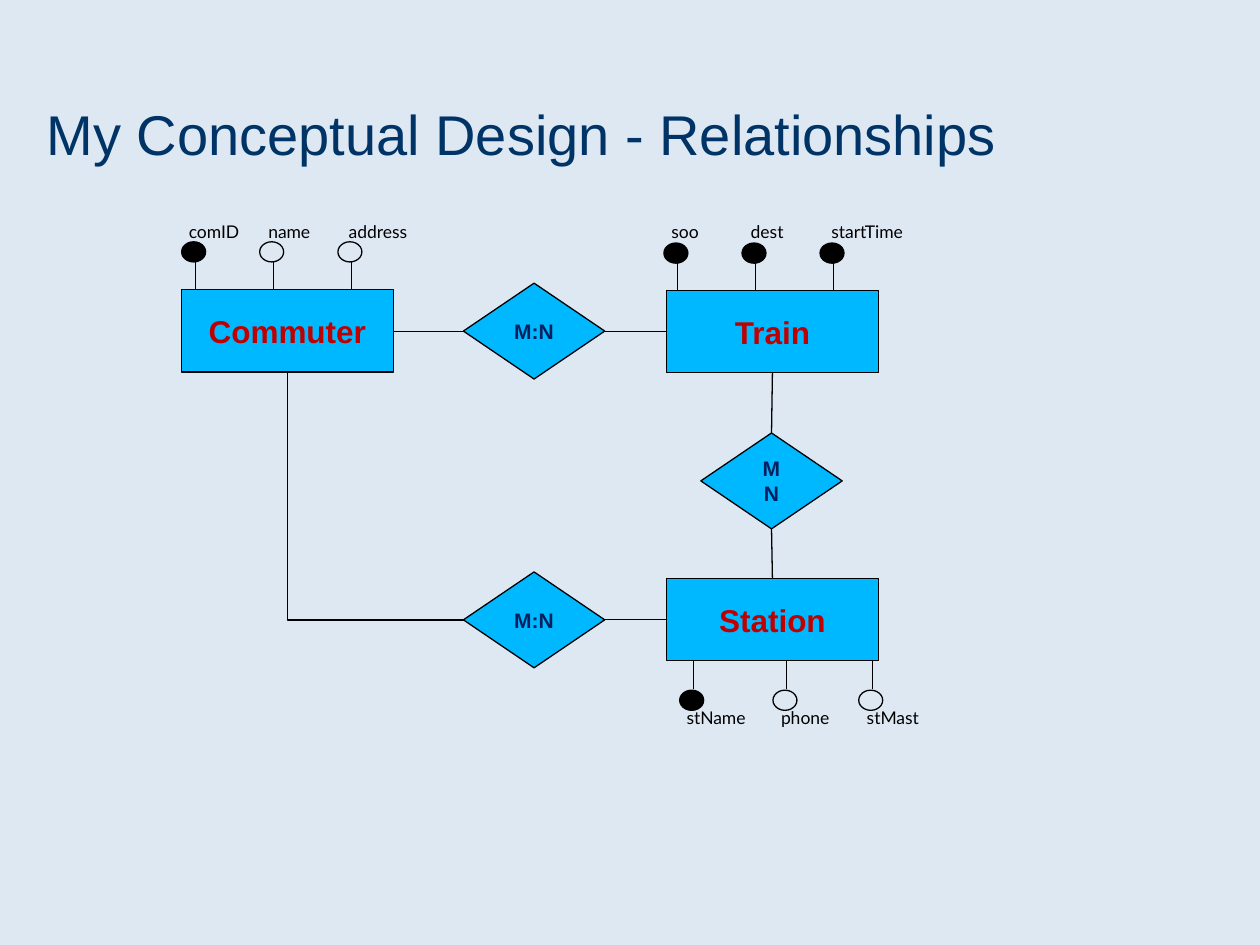
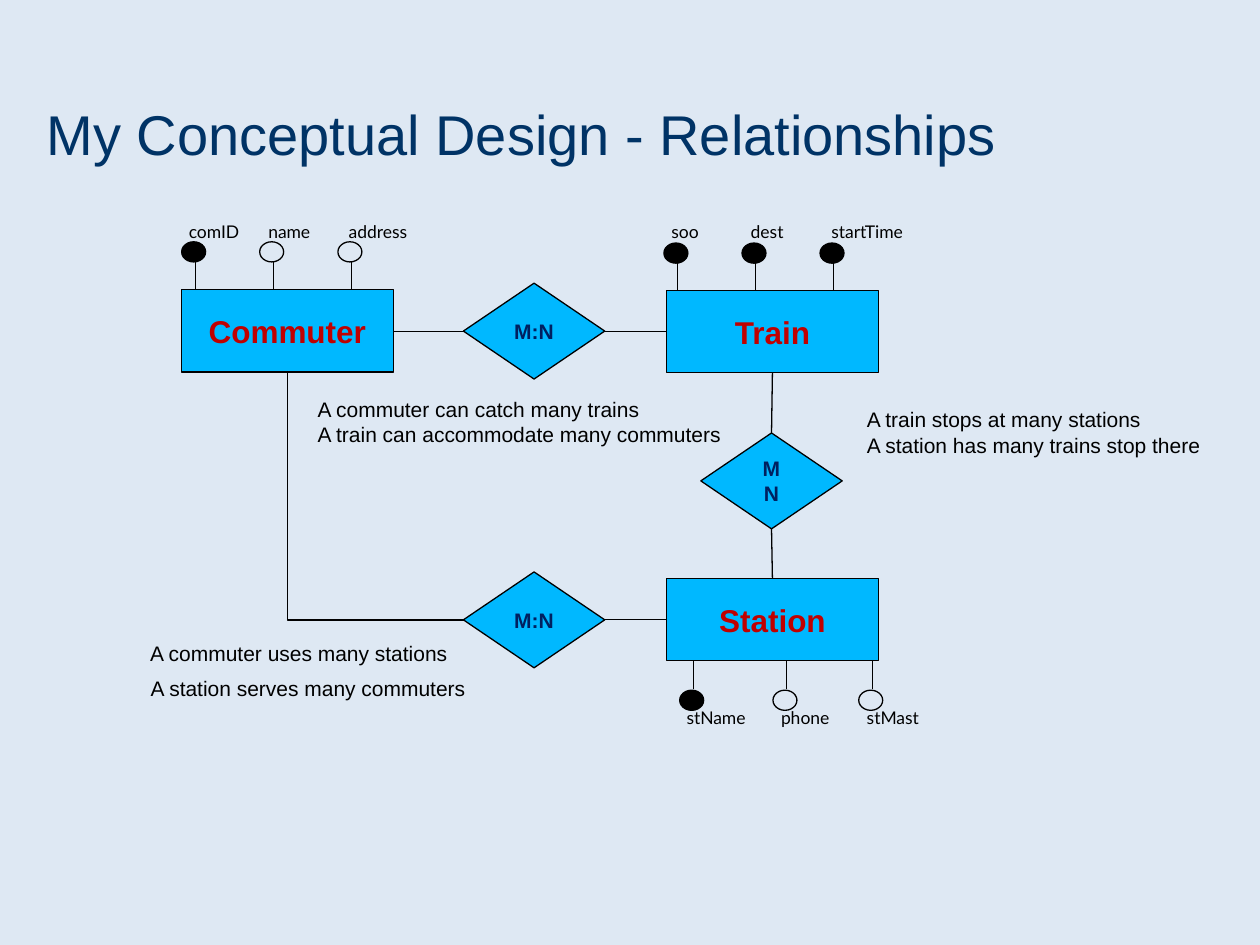
import lxml.etree
import pptx
import pptx.dml.color
import pptx.enum.shapes
import pptx.enum.text
import pptx.oxml.ns
import pptx.util

Pt = pptx.util.Pt
RGBColor = pptx.dml.color.RGBColor
Shape = pptx.enum.shapes.MSO_SHAPE
Connector = pptx.enum.shapes.MSO_CONNECTOR
Align = pptx.enum.text.PP_ALIGN
Anchor = pptx.enum.text.MSO_ANCHOR
qn = pptx.oxml.ns.qn

BACKGROUND = RGBColor(0xDE, 0xE8, 0xF3)
TITLE_BLUE = RGBColor(0x00, 0x33, 0x66)
NODE_BLUE = RGBColor(0x00, 0xB8, 0xFF)
ENTITY_RED = RGBColor(0xC0, 0x00, 0x00)
RATIO_NAVY = RGBColor(0x00, 0x20, 0x60)
BLACK = RGBColor(0x00, 0x00, 0x00)

LINE_WIDTH = 0.75
ENTITY_SIZE = (121, 47)
DIAMOND_SIZE = (80.8, 54.8)
KNOB_SIZE = (13.7, 11.5)

ENTITIES = [
    ("Commuter", 103.7, 165.6),
    ("Train", 380.9, 165.9),
    ("Station", 380.9, 330.5),
]
RELATIONSHIPS = [
    (["M:N"], 264.8, 161.8),
    (["M", "N"], 400.5, 247.4),
    (["M:N"], 264.8, 326.8),
]
LINKS = [
    (224.7, 189.4, 264.8, 189.4),
    (345.6, 189.4, 380.9, 189.4),
    (440.9, 247.4, 441.4, 213.1),
    (440.9, 302.2, 441.4, 330.5),
    (345.6, 354.2, 380.9, 354.2),
]
ATTRIBUTE_ROWS = [
    (165.6, 149.8, 138.2, 122.6, [
        ("comID", 111.6, 100.8, 43.9, True),
        ("name", 156.2, 146.2, 41.8, False),
        ("address", 200.9, 192.2, 50.4, False),
    ]),
    (166.2, 150.4, 138.9, 122.6, [
        ("soo", 387.2, 376.6, 31.7, True),
        ("dest", 431.8, 421.9, 35.3, True),
        ("startTime", 476.4, 468, 60.5, True),
    ]),
    (377.8, 393.6, 394.4, 400.3, [
        ("stName", 396.2, 385.2, 51.8, True),
        ("phone", 449.5, 439.2, 44.6, False),
        ("stMast", 498.5, 488.2, 46.1, False),
    ]),
]
NOTES = [
    (["A station serves many commuters"], 79, 382.3, 237),
    (["A commuter uses many stations"], 78.7, 362.3, 237),
    (["A train stops at many stations", "A station has many trains stop there"],
     488.2, 229, 237),
    (["A commuter can catch many trains", "A train can accommodate many commuters"],
     174.4, 222.9, 252),
]


def write_lines(frame, lines, size, color, font="Arial", bold=False, alignment=Align.LEFT):
    for index, line in enumerate(lines):
        paragraph = frame.paragraphs[0] if index == 0 else frame.add_paragraph()
        paragraph.alignment = alignment
        run = paragraph.add_run()
        run.text = line
        run.font.name = font
        run.font.size = Pt(size)
        run.font.bold = bold
        run.font.color.rgb = color


def style_outline(shape):
    shape.line.color.rgb = BLACK
    shape.line.width = Pt(LINE_WIDTH)
    properties = shape._element.spPr
    if properties.find(qn("a:effectLst")) is None:
        lxml.etree.SubElement(properties, qn("a:effectLst"))


presentation = pptx.Presentation()
presentation.slide_width = Pt(720)
presentation.slide_height = Pt(540)

background = presentation.slide_master.background.fill
background.solid()
background.fore_color.rgb = BACKGROUND

layout = presentation.slide_layouts.get_by_name("Title Only")
layout_title = layout.placeholders[0]
layout_title.left, layout_title.top = Pt(19.4), Pt(20.2)
layout_title.width, layout_title.height = Pt(672.5), Pt(78.5)
layout_title.text_frame.vertical_anchor = Anchor.BOTTOM

for notes in ([], NOTES):
    slide = presentation.slides.add_slide(layout)
    write_lines(slide.shapes.title.text_frame, ["My Conceptual Design - Relationships"],
                32, TITLE_BLUE)

    nodes = [(Shape.RECTANGLE, [name], left, top, ENTITY_SIZE, 18, ENTITY_RED)
             for name, left, top in ENTITIES]
    nodes += [(Shape.DIAMOND, lines, left, top, DIAMOND_SIZE, 12, RATIO_NAVY)
              for lines, left, top in RELATIONSHIPS]
    for kind, lines, left, top, (width, height), size, color in nodes:
        node = slide.shapes.add_shape(kind, Pt(left), Pt(top), Pt(width), Pt(height))
        node.fill.solid()
        node.fill.fore_color.rgb = NODE_BLUE
        style_outline(node)
        node.text_frame.vertical_anchor = Anchor.MIDDLE
        write_lines(node.text_frame, lines, size, color, bold=True, alignment=Align.CENTER)

    stems = [(x, start, x, end)
             for start, end, _, _, attributes in ATTRIBUTE_ROWS
             for _, x, _, _, _ in attributes]
    for x1, y1, x2, y2 in LINKS + stems:
        line = slide.shapes.add_connector(Connector.STRAIGHT, Pt(x1), Pt(y1), Pt(x2), Pt(y2))
        style_outline(line)

    elbow = slide.shapes.add_connector(Connector.ELBOW, Pt(285.3), Pt(233.3), Pt(144), Pt(333.9))
    elbow._element.spPr.find(qn("a:prstGeom")).set("prst", "bentConnector2")
    elbow._element.spPr.find(qn("a:xfrm")).set("rot", "16200000")
    style_outline(elbow)

    for _, _, knob_top, label_top, attributes in ATTRIBUTE_ROWS:
        for name, stem_x, label_left, label_width, is_key in attributes:
            knob = slide.shapes.add_shape(Shape.OVAL, Pt(stem_x - 7.8), Pt(knob_top),
                                          Pt(KNOB_SIZE[0]), Pt(KNOB_SIZE[1]))
            if is_key:
                knob.fill.solid()
                knob.fill.fore_color.rgb = BLACK
            else:
                knob.fill.background()
            style_outline(knob)
            label = slide.shapes.add_textbox(Pt(label_left), Pt(label_top),
                                             Pt(label_width), Pt(20))
            label.text_frame.word_wrap = False
            write_lines(label.text_frame, [name], 10, BLACK, font="Lato")

    for lines, left, top, width in notes:
        note = slide.shapes.add_textbox(Pt(left), Pt(top), Pt(width), Pt(7.2 + 14.4 * len(lines)))
        note.text_frame.word_wrap = True
        write_lines(note.text_frame, lines, 12, BLACK)

presentation.save("out.pptx")
